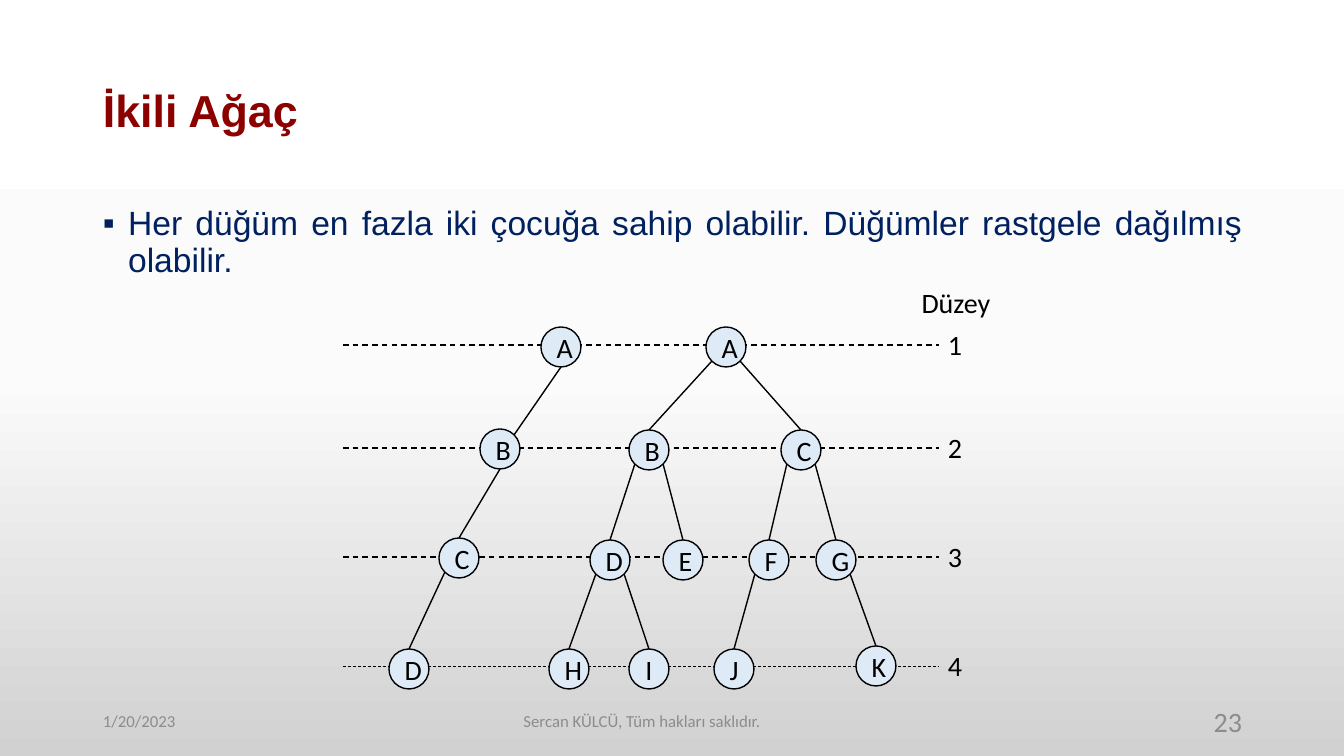
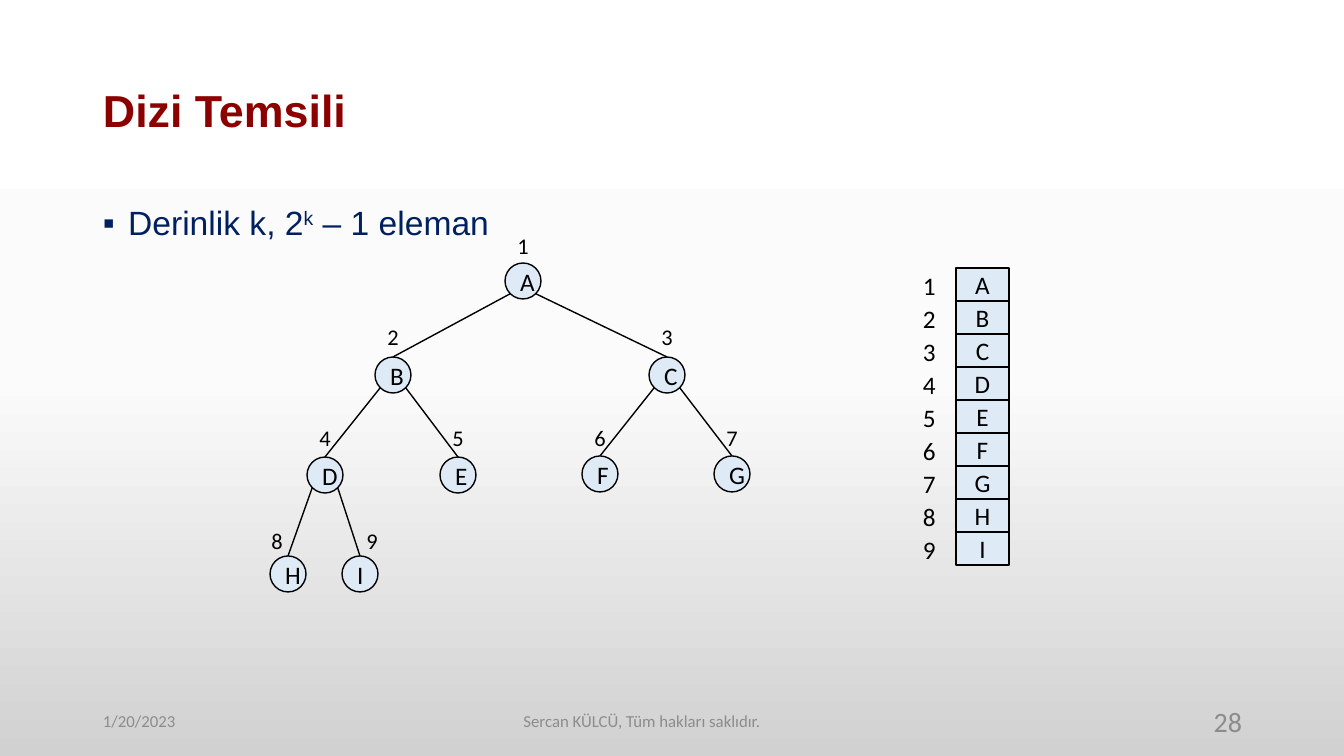
"""Build two slides on binary trees and their array form."""
from copy import deepcopy
from dataclasses import dataclass
from math import cos, radians, sin

from lxml.etree import SubElement
from pptx import Presentation
from pptx.dml.color import RGBColor
from pptx.enum.dml import MSO_LINE
from pptx.enum.shapes import MSO_CONNECTOR, MSO_SHAPE
from pptx.enum.text import MSO_ANCHOR, MSO_AUTO_SIZE, PP_ALIGN
from pptx.oxml.ns import qn
from pptx.util import Pt

LEFT, MID, RIGHT, FULL = PP_ALIGN.LEFT, PP_ALIGN.CENTER, PP_ALIGN.RIGHT, PP_ALIGN.JUSTIFY
TOP, CENTER = MSO_ANCHOR.TOP, MSO_ANCHOR.MIDDLE
GROW = MSO_AUTO_SIZE.SHAPE_TO_FIT_TEXT
OVAL, RECT = MSO_SHAPE.OVAL, MSO_SHAPE.RECTANGLE
STRAIGHT, DASH = MSO_CONNECTOR.STRAIGHT, MSO_LINE.DASH
SCALE = 12192000 / 1344


@dataclass(frozen=True)
class Theme:
    """Colours, fonts and type sizes of the deck."""
    ink: str = "000000"
    fill: str = "DEEBF7"
    title: str = "8C0000"
    body: str = "002060"
    foot: str = "8C8C8C"
    stops: tuple = ((0, "FFFFFF"), (0.5, "FBFBFB"), (1, "D1D1D1"))
    head: str = "Arial"
    text: str = "Calibri"
    title_pt: int = 32
    body_pt: int = 24
    big_pt: int = 20
    node_pt: int = 18
    mark_pt: int = 16
    foot_pt: int = 12


THEME = Theme()


def px(*vals):
    """Turn px lengths into EMU."""
    return [round(val * SCALE) for val in vals]


def rgb(code):
    """Turn a hex code into a colour."""
    return RGBColor.from_string(code)


def apply(item, form):
    """Set each format value on an item."""
    for name, val in form.items():
        setattr(item, name, val)


def write(shape, runs, size, color=THEME.ink, font=THEME.text, bold=False, **form):
    """Fill a shape with one paragraph; runs that start with ^ are raised."""
    para = shape.text_frame.paragraphs[0]
    apply(para, form)
    for text in runs:
        run = para.add_run()
        run.text = text.removeprefix("^")
        apply(run.font, {"name": font, "size": Pt(size), "bold": bold})
        run.font.color.rgb = rgb(color)
        if text.startswith("^"):
            run._r.get_or_add_rPr().set("baseline", "30000")


def add_box(slide, box, anchor=TOP, wrap=True):
    """Add an empty text box."""
    shape = slide.shapes.add_textbox(*px(*box))
    apply(shape.text_frame, {"word_wrap": wrap, "vertical_anchor": anchor})
    return shape


def add_label(slide, box, text, size, align=MID):
    """Add a short label that grows with its text."""
    shape = add_box(slide, box, wrap=False)
    shape.text_frame.auto_size = GROW
    write(shape, [text], size, alignment=align)


def add_cell(slide, kind, box, text, size):
    """Add a pale outlined shape with a centred letter."""
    shape = slide.shapes.add_shape(kind, *px(*box))
    shape.shadow.inherit = False
    shape.fill.solid()
    shape.fill.fore_color.rgb = rgb(THEME.fill)
    shape.line.color.rgb = rgb(THEME.ink)
    shape.line.width = Pt(1)
    write(shape, [text], size, alignment=MID)


def add_line(slide, start, end, width=1, dash=None):
    """Add a straight line between two points."""
    line = slide.shapes.add_connector(STRAIGHT, *px(*start, *end))
    SubElement(line.element.spPr, qn("a:effectLst"))
    line.line.color.rgb = rgb(THEME.ink)
    apply(line.line, {"width": Pt(width), "dash_style": dash})


def port(spot, size, site):
    """Find one of eight rim points, counted leftward from the top."""
    turn = radians(45 * site)
    return spot[0] - size / 2 * sin(turn), spot[1] - size / 2 * cos(turn)


def add_tree(slide, nodes, edges, size, points, ports=None):
    """Draw the edges and round nodes of a tree."""
    for edge in edges.split():
        top, low = (nodes[name] for name in edge)
        side = 3 if low[0] < top[0] else 5
        leave, enter = (ports or {}).get(edge, (side, 0))
        add_line(slide, port(top, size, leave), port(low, size, enter))
    for name, (x, y) in nodes.items():
        add_cell(slide, OVAL, (x - size / 2, y - size / 2, size, size), name, points)


def add_body(slide, runs):
    """Add the bulleted statement."""
    shape = add_box(slide, (93, 202, 1159, 516))
    props = shape.text_frame.paragraphs[0]._p.get_or_add_pPr()
    props.set("marL", "228600")
    props.set("indent", "-228600")
    SubElement(props, qn("a:buFont"), typeface=THEME.head)
    SubElement(props, qn("a:buChar"), char="▪")
    write(shape, runs, THEME.body_pt, THEME.body, THEME.head,
          alignment=FULL, line_spacing=0.9)


def add_page(deck, title, runs, number):
    """Add a slide with title, statement and footer."""
    slide = deck.slides.add_slide(deck.slide_layouts[6])
    write(add_box(slide, (93, 40, 1159, 146), CENTER), [title], THEME.title_pt,
          THEME.title, THEME.head, True, line_spacing=0.9)
    add_body(slide, runs)
    for x, wide, text, size, align in (
            (93, 302, "1/20/2023", THEME.foot_pt, LEFT),
            (260, 764, "Sercan KÜLCÜ, Tüm hakları saklıdır.", THEME.foot_pt, MID),
            (950, 302, number, THEME.big_pt, RIGHT)):
        write(add_box(slide, (x, 701, wide, 40), CENTER), [text], size,
              THEME.foot, alignment=align)
    return slide


def set_back(deck):
    """Give the master its grey gradient."""
    master = deck.slide_master
    fill = master.background.fill
    fill.gradient()
    fill.gradient_angle = 270
    stops = master.element.cSld.find(".//" + qn("a:gsLst"))
    stops.append(deepcopy(stops[-1]))
    for stop, (place, color) in zip(fill.gradient_stops, THEME.stops):
        stop.position = place
        stop.color.rgb = rgb(color)


def draw_levels(slide):
    """Draw the dashed levels and their numbers."""
    add_label(slide, (910, 281, 92, 44), "Düzey", THEME.big_pt)
    for level, y in enumerate((345, 448, 557, 666), 1):
        add_line(slide, (343, y), (939, y), 0.5 if level == 4 else 1, DASH)
        add_label(slide, (938, y - 22, 34, 44), str(level), THEME.big_pt)


def draw_pair(slide):
    """Draw the skewed tree and the fuller tree."""
    skew = {"A": (561, 347), "B": (500, 449), "C": (459, 558), "D": (409, 669)}
    full = {"A": (726, 347), "B": (649, 450), "C": (801, 450), "D": (610, 560),
            "E": (683, 560), "F": (769, 560), "G": (836, 560), "H": (569, 669),
            "I": (649, 669), "J": (734, 669), "K": (876, 666)}
    add_tree(slide, skew, "AB BC CD", 40, THEME.big_pt, {"AB": (4, 7), "BC": (4, 0)})
    add_tree(slide, full, "AB AC BD BE CF CG DH DI FJ GK", 40, THEME.big_pt)


def draw_heap(slide):
    """Draw the numbered tree."""
    nodes = {"A": (523, 281), "B": (393, 375), "C": (667, 375), "D": (325, 475),
             "E": (458, 475), "F": (600, 474), "G": (732, 474), "H": (288, 574),
             "I": (360, 574)}
    marks = ((523, 227), (393, 318), (667, 318), (325, 419), (458, 419),
             (600, 419), (732, 419), (277, 522), (372, 522))
    add_tree(slide, nodes, "AB AC BD BE CF CG DH DI", 36, THEME.node_pt)
    for index, (x, y) in enumerate(marks, 1):
        add_label(slide, (x - 16, y, 32, 37), str(index), THEME.mark_pt)


def draw_array(slide):
    """Draw the array cells with their indexes."""
    for row, name in enumerate("ABCDEFGHI"):
        y = 268 + 33 * row
        add_cell(slide, RECT, (956, y, 53, 33), name, THEME.node_pt)
        add_label(slide, (913, y - 3, 33, 40), str(row + 1), THEME.node_pt, LEFT)


def main():
    """Build and save the deck."""
    deck = Presentation()
    deck.slide_width, deck.slide_height = px(1344, 756)
    set_back(deck)
    slide = add_page(deck, "İkili Ağaç", [
        "Her düğüm en fazla iki çocuğa sahip olabilir. "
        "Düğümler rastgele dağılmış olabilir."], "23")
    draw_levels(slide)
    draw_pair(slide)
    slide = add_page(deck, "Dizi Temsili", ["Derinlik k, 2", "^k", " – 1 eleman"], "28")
    draw_heap(slide)
    draw_array(slide)
    deck.save("out.pptx")


if __name__ == "__main__":
    main()
